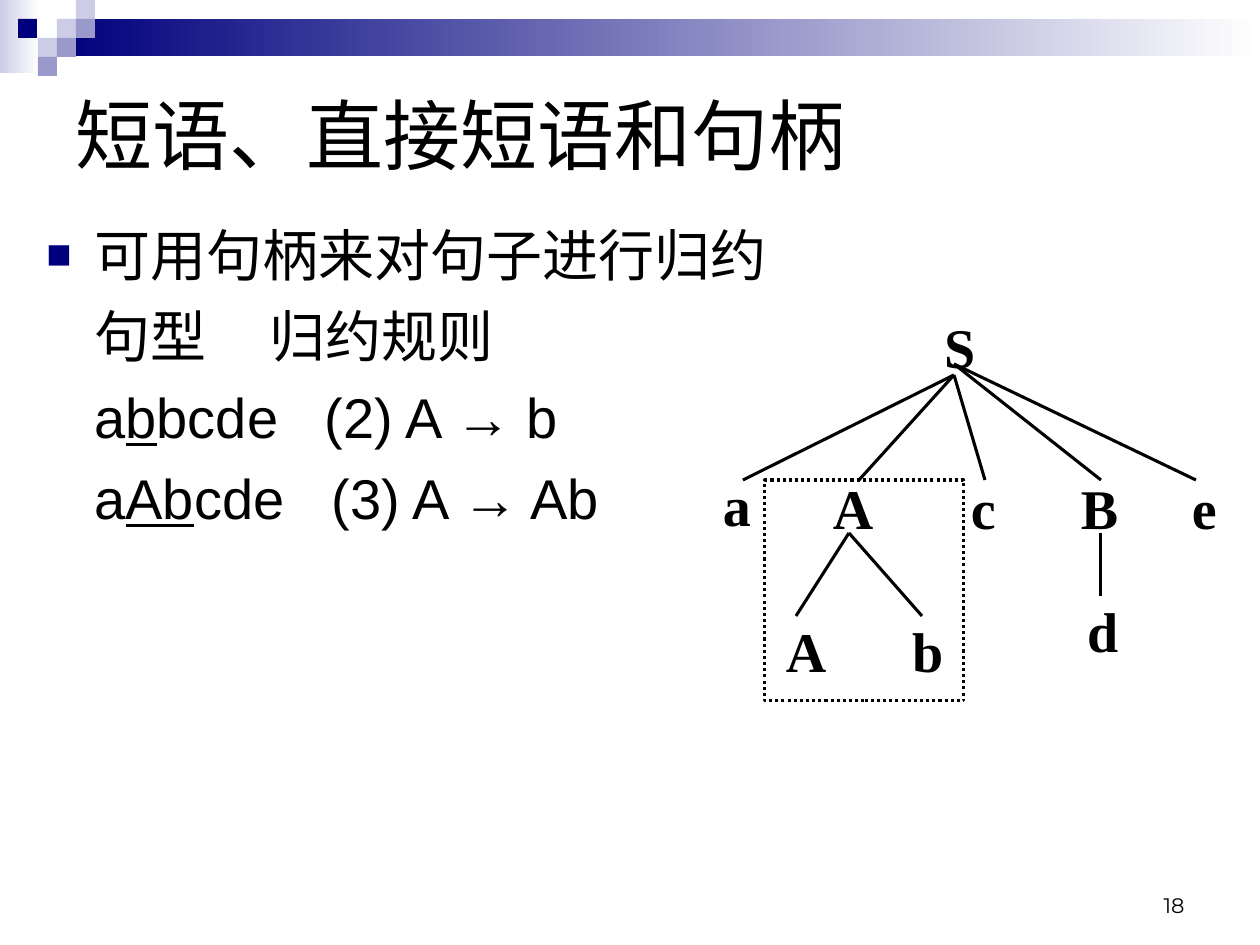
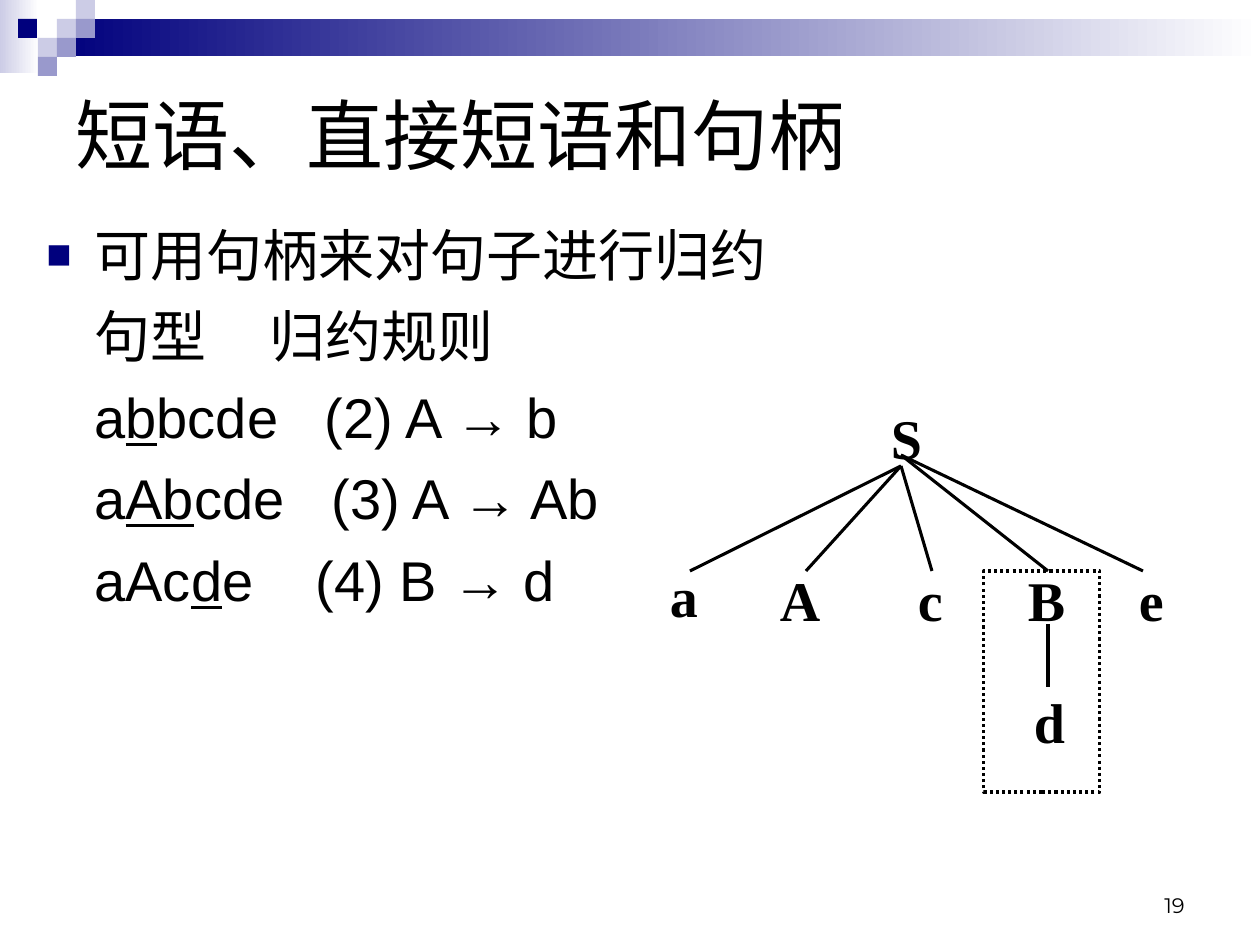
"""Build two slides on reducing a sentence by its handles, with syntax trees."""
from lxml import etree
from pptx import Presentation
from pptx.dml.color import RGBColor
from pptx.enum.dml import MSO_LINE
from pptx.enum.shapes import MSO_CONNECTOR, MSO_SHAPE
from pptx.enum.text import MSO_ANCHOR, MSO_AUTO_SIZE, PP_ALIGN
from pptx.oxml.ns import qn
from pptx.util import Pt

RECTANGLE = MSO_SHAPE.RECTANGLE
STRAIGHT = MSO_CONNECTOR.STRAIGHT
DOTTED = MSO_LINE.ROUND_DOT
TOP, MIDDLE, BOTTOM = MSO_ANCHOR.TOP, MSO_ANCHOR.MIDDLE, MSO_ANCHOR.BOTTOM
LEFT, RIGHT = PP_ALIGN.LEFT, PP_ALIGN.RIGHT
FIT_SHAPE = MSO_AUTO_SIZE.SHAPE_TO_FIT_TEXT

SCALE = 914400 / 126
NAVY, LILAC, PALE, WHITE, BLACK = "00007D", "9999CC", "CCCCE6", "FFFFFF", "000000"
color = RGBColor.from_string

TITLE_FONT = {"name": "Arial", "size": Pt(44)}
BODY_FONT = {"name": "Arial", "size": Pt(32)}
NUMBER_FONT = {"name": "Montserrat", "size": Pt(12)}
NODE_FONT = {"name": "Times New Roman", "size": Pt(32), "bold": True}

BANDS = [((0, 0, 39, 73), PALE), ((57, 19, 1203, 37), NAVY)]
TILE = 19
TILES = [(57, 19, PALE), (76, 0, PALE), (76, 19, LILAC), (38, 38, PALE),
         (18, 19, NAVY), (57, 38, LILAC), (38, 57, LILAC)]

INDENT = 48
HEADING = "可用句柄来对句子进行归约"
ROWS = [
    (223, ["句型\t归约规则"]),
    (278, ["a", "b", "bcde\t(2) A → b"]),
    (285, ["a", "Ab", "cde\t(3) A → Ab"]),
    (269, ["aAc", "d", "e\t(4) B → d"]),
]

NODE_HEIGHT = 67
NODE_WIDTHS = {"S": 32, "a": 28, "A": 40, "b": 32, "c": 25, "B": 37, "d": 32, "e": 25}
NODES = [("S", 944, 312), ("a", 723, 470), ("A", 833, 474), ("c", 971, 474),
         ("B", 1081, 474), ("e", 1192, 474), ("d", 1087, 596)]
BRANCHES = [(954, 375, 743, 480), (954, 375, 859, 480), (954, 375, 985, 480),
            (954, 364, 1101, 480), (954, 364, 1196, 480), (1101, 533, 1101, 596)]
HANDLE_NODES = [("A", 786, 616), ("b", 912, 616)]
HANDLE_BRANCHES = [(849, 533, 796, 616), (849, 533, 922, 616)]

SLIDES = [
    {"number": "18", "rows": ROWS[:3], "shift": (0, 0), "handle": (765, 480, 199, 221),
     "nodes": NODES + HANDLE_NODES, "branches": BRANCHES + HANDLE_BRANCHES},
    {"number": "19", "rows": ROWS, "shift": (-53, 91), "handle": (984, 571, 116, 221),
     "nodes": NODES, "branches": BRANCHES},
]


def emu(*lengths):
    return [round(length * SCALE) for length in lengths]


def write(page, place, text, font, anchor=TOP, align=LEFT, **frame_format):
    frame = page.shapes.add_textbox(*emu(*place)).text_frame
    settings = {"word_wrap": True, "vertical_anchor": anchor, **frame_format}
    for name, value in settings.items():
        setattr(frame, name, value)
    para = frame.paragraphs[0]
    para.alignment = align
    span = para.add_run()
    span.text = text
    span.font.color.rgb = color(BLACK)
    for name, value in font.items():
        setattr(span.font, name, value)
    return frame


deck = Presentation()
deck.slide_width, deck.slide_height = emu(1260, 945)

for content in SLIDES:
    page = deck.slides.add_slide(deck.slide_layouts[6])

    for place, start in BANDS:
        band = page.shapes.add_shape(RECTANGLE, *emu(*place))
        band.shadow.inherit = False
        band.line.fill.background()
        band.fill.gradient()
        band.fill.gradient_angle = 0
        for stop, shade, position in zip(band.fill.gradient_stops, (start, WHITE), (0, 1)):
            stop.color.rgb = color(shade)
            stop.position = position

    for left, top, shade in TILES:
        tile = page.shapes.add_shape(RECTANGLE, *emu(left, top, TILE, TILE))
        tile.shadow.inherit = False
        tile.line.fill.background()
        tile.fill.solid()
        tile.fill.fore_color.rgb = color(shade)

    write(page, (63, 63, 1134, 141), "短语、直接短语和句柄", TITLE_FONT, MIDDLE)
    write(page, (903, 861, 294, 63), content["number"], NUMBER_FONT, BOTTOM, RIGHT)

    body = write(page, (34, 214, 764, 576), HEADING, BODY_FONT)
    indent = emu(INDENT)[0]
    properties = body.paragraphs[0]._p.get_or_add_pPr()
    properties.set("marL", str(indent))
    properties.set("indent", str(-indent))
    bullet_color = etree.SubElement(properties, qn("a:buClr"))
    etree.SubElement(bullet_color, qn("a:srgbClr"), val=NAVY)
    etree.SubElement(properties, qn("a:buSzPct"), val="75000")
    etree.SubElement(properties, qn("a:buFont"), typeface="Arial")
    etree.SubElement(properties, qn("a:buChar"), char="■")

    for rule_column, pieces in content["rows"]:
        para = body.add_paragraph()
        tabs = etree.SubElement(para._p.get_or_add_pPr(), qn("a:tabLst"))
        for position in emu(INDENT, rule_column):
            etree.SubElement(tabs, qn("a:tab"), pos=str(position), algn="l")
        para.space_before = Pt(8)
        para.add_run().text = "\t"
        for index, piece in enumerate(pieces):
            span = para.add_run()
            span.text = piece
            span.font.underline = index == 1
        for span in para.runs:
            span.font.color.rgb = color(BLACK)
            for name, value in BODY_FONT.items():
                setattr(span.font, name, value)

    across, down = content["shift"]
    for label, left, top in content["nodes"]:
        place = (left + across, top + down, NODE_WIDTHS[label], NODE_HEIGHT)
        write(page, place, label, NODE_FONT, word_wrap=False, auto_size=FIT_SHAPE,
              margin_left=0, margin_top=0, margin_right=0, margin_bottom=0)

    for x1, y1, x2, y2 in content["branches"]:
        ends = emu(x1 + across, y1 + down, x2 + across, y2 + down)
        branch = page.shapes.add_connector(STRAIGHT, *ends)
        branch.line.color.rgb = color(BLACK)
        branch.line.width = Pt(1.75)
        etree.SubElement(branch._element.spPr, qn("a:effectLst"))

    handle = page.shapes.add_shape(RECTANGLE, *emu(*content["handle"]))
    handle.shadow.inherit = False
    handle.fill.background()
    handle.line.color.rgb = color(BLACK)
    handle.line.width = Pt(1.75)
    handle.line.dash_style = DOTTED

deck.save("out.pptx")
